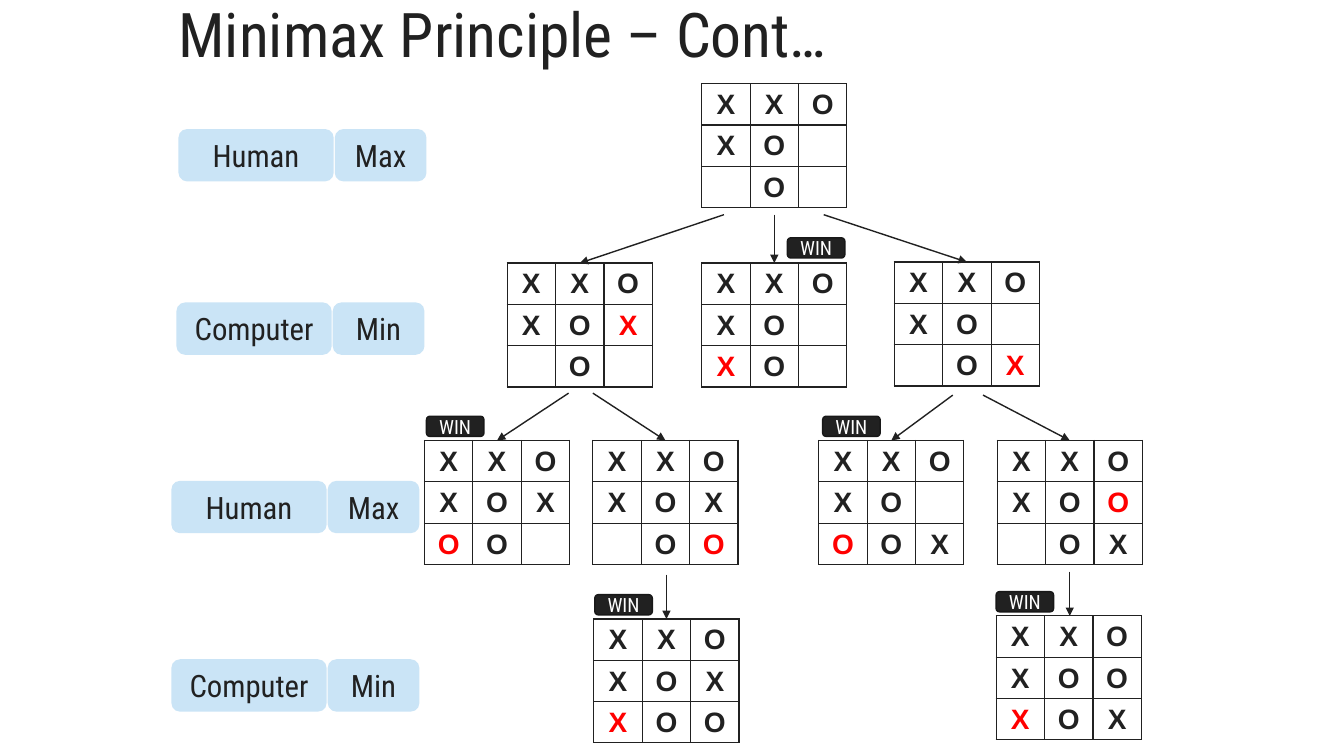
from typing import NamedTuple, Optional

from lxml import etree
from pptx import Presentation
from pptx.dml.color import RGBColor
from pptx.enum.shapes import MSO_CONNECTOR, MSO_SHAPE
from pptx.enum.text import MSO_ANCHOR, MSO_AUTO_SIZE, PP_ALIGN
from pptx.oxml.ns import qn
from pptx.util import Emu, Pt

ROUNDED = MSO_SHAPE.ROUNDED_RECTANGLE
STRAIGHT = MSO_CONNECTOR.STRAIGHT
TOP, MIDDLE = MSO_ANCHOR.TOP, MSO_ANCHOR.MIDDLE
LEFT, CENTER = PP_ALIGN.LEFT, PP_ALIGN.CENTER
NO_AUTOFIT = MSO_AUTO_SIZE.NONE

EMU_PER_PX = 9144
SLIDE_W, SLIDE_H = 1333, 750
CELL_W, CELL_H = 48, 41
ROLE_W, GOAL_W, LABEL_H = 154, 91, 52
GOAL_OFFSET = 155
WIN_W, WIN_H = 57, 20
INK, RED, WHITE = "212121", "FF0000", "FFFFFF"
LABEL_BLUE, BADGE_LINE = "CAE4F6", "181818"
CONDENSED, SANS = "Roboto Condensed", "Arial"


class Board(NamedTuple):
    left: int
    top: int
    rows: tuple[str, str, str]
    move: Optional[tuple[int, int]] = None


class Turn(NamedTuple):
    left: int
    top: int
    role: str
    goal: str


class Arrow(NamedTuple):
    x1: int
    y1: int
    x2: int
    y2: int


class Win(NamedTuple):
    left: int
    top: int


BOARDS = [
    Board(696, 83, ("XXO", "XO ", " O ")),
    Board(503, 261, ("XXO", "XOX", " O "), (1, 2)),
    Board(696, 261, ("XXO", "XO ", "XO "), (2, 0)),
    Board(887, 260, ("XXO", "XO ", " OX"), (2, 2)),
    Board(421, 437, ("XXO", "XOX", "OO "), (2, 0)),
    Board(588, 437, ("XXO", "XOX", " OO"), (2, 2)),
    Board(812, 437, ("XXO", "XO ", "OOX"), (2, 0)),
    Board(989, 437, ("XXO", "XOO", " OX"), (1, 2)),
    Board(589, 614, ("XXO", "XOX", "XOO"), (2, 0)),
    Board(988, 611, ("XXO", "XOO", "XOX"), (2, 0)),
]
TURNS = [
    Turn(177, 128, "Human", "Max"),
    Turn(175, 300, "Computer", "Min"),
    Turn(170, 477, "Human", "Max"),
    Turn(170, 654, "Computer", "Min"),
]
ARROWS = [
    Arrow(768, 213, 768, 261),
    Arrow(718, 213, 575, 261),
    Arrow(817, 213, 959, 260),
    Arrow(564, 390, 493, 437),
    Arrow(588, 390, 660, 437),
    Arrow(945, 392, 884, 437),
    Arrow(975, 392, 1061, 437),
    Arrow(661, 570, 661, 614),
    Arrow(1061, 567, 1061, 611),
]
WINS = [Win(781, 236), Win(816, 413), Win(423, 413), Win(590, 590), Win(988, 587)]


def px(n: int) -> Emu:
    return Emu(n * EMU_PER_PX)


def rgb(color: str) -> RGBColor:
    return RGBColor.from_string(color)


def write(tf, text: str, size: int, font: str, color: str, align=CENTER, bold=False):
    p = tf.paragraphs[0]
    p.alignment = align
    r = p.add_run()
    r.text = text
    r.font.size = Pt(size)
    r.font.name = font
    r.font.bold = bold
    r.font.color.rgb = rgb(color)
    return p


def draw_title(s, text: str) -> None:
    sp = s.shapes.title
    sp.left, sp.top, sp.width, sp.height = px(167), px(-7), px(958), px(88)
    tf = sp.text_frame
    tf.auto_size = NO_AUTOFIT
    tf.vertical_anchor = MIDDLE
    p = write(tf, text, 44, CONDENSED, INK, LEFT)
    p.line_spacing = 0.9


def border_cell(cell) -> None:
    tc_pr = cell._tc.get_or_add_tcPr()
    for i, side in enumerate(("a:lnL", "a:lnR", "a:lnT", "a:lnB")):
        ln = etree.Element(qn(side), w=str(Pt(1)))
        fill = etree.SubElement(ln, qn("a:solidFill"))
        etree.SubElement(fill, qn("a:srgbClr"), val=INK)
        tc_pr.insert(i, ln)


def draw_board(s, board: Board) -> None:
    frame = s.shapes.add_table(
        3, 3, px(board.left), px(board.top), px(3 * CELL_W), px(3 * CELL_H)
    )
    table = frame.table
    table.first_row = table.horz_banding = False
    for i in range(3):
        table.columns[i].width = px(CELL_W)
        table.rows[i].height = px(CELL_H)
    for row, marks in enumerate(board.rows):
        for col, mark in enumerate(marks):
            cell = table.cell(row, col)
            cell.fill.background()
            cell.margin_left = cell.margin_right = px(9)
            cell.margin_top, cell.margin_bottom = px(5), px(4)
            cell.vertical_anchor = MIDDLE
            border_cell(cell)
            if mark != " ":
                color = RED if (row, col) == board.move else INK
                write(cell.text_frame, mark, 20, SANS, color, bold=True)


def rounded_box(s, left: int, top: int, width: int, height: int, fill: str):
    sp = s.shapes.add_shape(ROUNDED, px(left), px(top), px(width), px(height))
    sp.shadow.inherit = False
    sp.fill.solid()
    sp.fill.fore_color.rgb = rgb(fill)
    return sp


def draw_label(s, left: int, top: int, width: int, text: str) -> None:
    sp = rounded_box(s, left, top, width, LABEL_H, LABEL_BLUE)
    sp.line.fill.background()
    sp.text_frame.vertical_anchor = TOP
    write(sp.text_frame, text, 22, CONDENSED, INK)


def draw_turn(s, turn: Turn) -> None:
    draw_label(s, turn.left, turn.top, ROLE_W, turn.role)
    draw_label(s, turn.left + GOAL_OFFSET, turn.top, GOAL_W, turn.goal)


def draw_arrow(s, arrow: Arrow) -> None:
    line = s.shapes.add_connector(STRAIGHT, *(px(n) for n in arrow))
    line.line.color.rgb = rgb(INK)
    line.line.width = Pt(1)
    etree.SubElement(line.line._get_or_add_ln(), qn("a:tailEnd"), type="triangle")
    etree.SubElement(line._element.spPr, qn("a:effectLst"))


def draw_win(s, win: Win) -> None:
    sp = rounded_box(s, win.left, win.top, WIN_W, WIN_H, INK)
    sp.line.color.rgb = rgb(BADGE_LINE)
    sp.line.width = Pt(1)
    tf = sp.text_frame
    tf.margin_left = tf.margin_right = tf.margin_top = tf.margin_bottom = 0
    tf.vertical_anchor = MIDDLE
    write(tf, "WIN", 14, CONDENSED, WHITE)


def main() -> None:
    prs = Presentation()
    prs.slide_width, prs.slide_height = px(SLIDE_W), px(SLIDE_H)
    s = prs.slides.add_slide(prs.slide_layouts.get_by_name("Title Only"))
    draw_title(s, "Minimax Principle – Cont…")
    for board in BOARDS:
        draw_board(s, board)
    for turn in TURNS:
        draw_turn(s, turn)
    for arrow in ARROWS:
        draw_arrow(s, arrow)
    for win in WINS:
        draw_win(s, win)
    prs.save("out.pptx")


if __name__ == "__main__":
    main()
